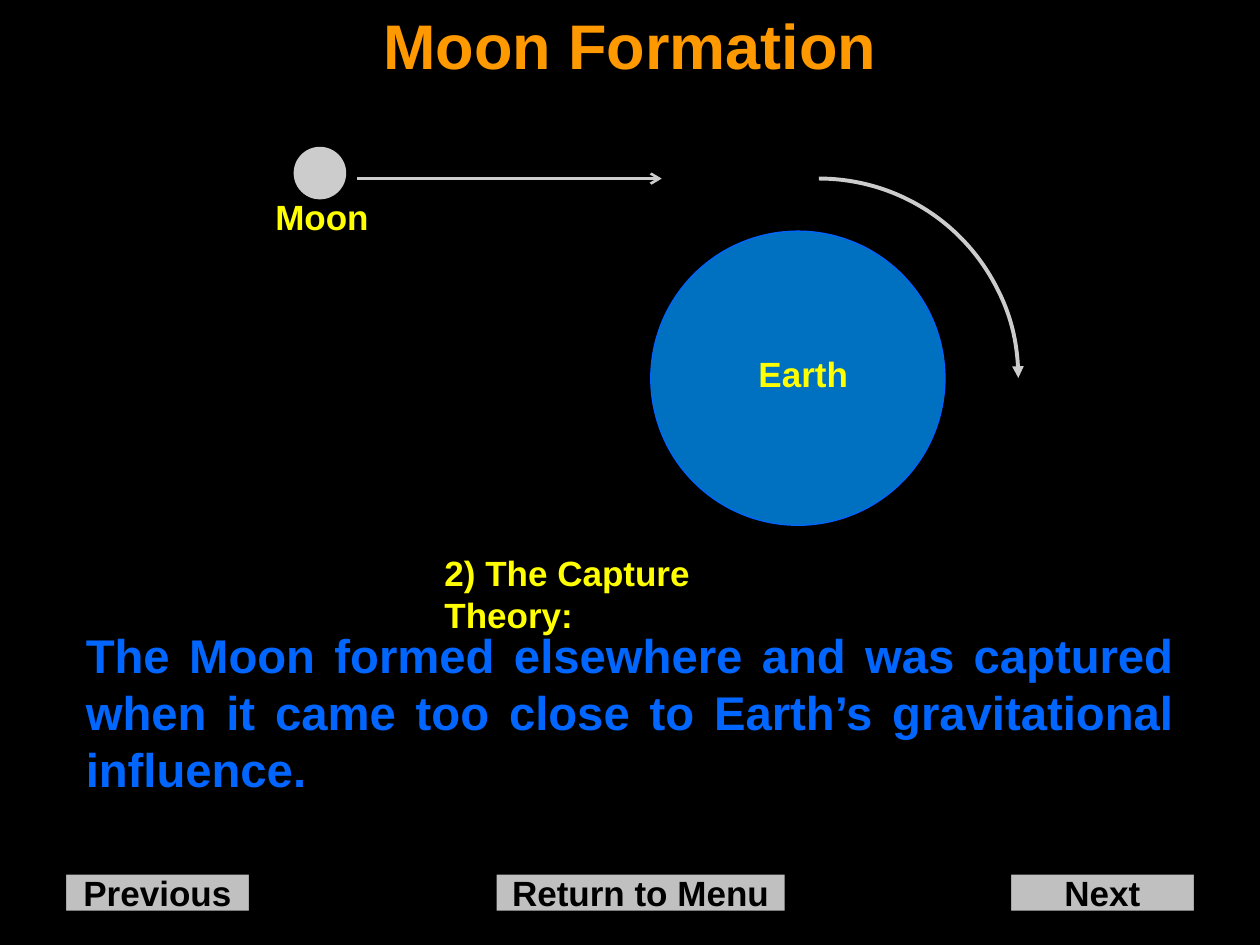
import dataclasses

import lxml.etree
import pptx
import pptx.dml.color
import pptx.enum.shapes
import pptx.enum.text
import pptx.oxml.ns
import pptx.util

Cm = pptx.util.Cm
Pt = pptx.util.Pt
Align = pptx.enum.text.PP_ALIGN
Anchor = pptx.enum.text.MSO_ANCHOR
AutoSize = pptx.enum.text.MSO_AUTO_SIZE
Shape = pptx.enum.shapes.MSO_SHAPE
qn = pptx.oxml.ns.qn


@dataclasses.dataclass(frozen=True)
class Theme:
    font: str = "Arial"
    background: str = "000000"
    title: str = "FF9900"
    body: str = "0066FF"
    label: str = "FFFF00"
    button: str = "C0C0C0"
    button_text: str = "000000"
    moon: str = "CCCCCC"
    earth: str = "0070C0"
    title_size: float = 36
    body_size: float = 27
    label_size: float = 20


def rgb(value):
    return pptx.dml.color.RGBColor.from_string(value)


def write(tf, text, font, size, color, align=Align.LEFT, wrap=True, anchor=Anchor.TOP):
    tf.word_wrap = wrap
    tf.vertical_anchor = anchor
    p = tf.paragraphs[0]
    p.alignment = align
    r = p.add_run()
    r.text = text
    r.font.name = font
    r.font.size = Pt(size)
    r.font.bold = True
    r.font.color.rgb = rgb(color)


class SlideBuilder:
    def __init__(self, slide, theme):
        self.s = slide
        self.theme = theme
        fill = slide.background.fill
        fill.solid()
        fill.fore_color.rgb = rgb(theme.background)

    def paint(self, sp, fill, line=None, width=0.75):
        sp.shadow.inherit = False
        sp.fill.solid()
        sp.fill.fore_color.rgb = rgb(fill)
        if line:
            sp.line.color.rgb = rgb(line)
            sp.line.width = Pt(width)
        else:
            sp.line.fill.background()

    def arrowhead(self, sp, kind):
        ln = sp.line._get_or_add_ln()
        lxml.etree.SubElement(ln, qn("a:tailEnd"), type=kind)

    def text(self, text, x, y, w, h, **fmt):
        sp = self.s.shapes.add_textbox(Cm(x), Cm(y), Cm(w), Cm(h))
        write(sp.text_frame, text, self.theme.font, **fmt)
        sp.text_frame.auto_size = AutoSize.SHAPE_TO_FIT_TEXT

    def label(self, text, x, y, w):
        self.text(text, x, y, w, 1.11, size=self.theme.label_size,
                  color=self.theme.label, wrap=False)

    def circle(self, x, y, d, fill, line=None):
        sp = self.s.shapes.add_shape(Shape.OVAL, Cm(x), Cm(y), Cm(d), Cm(d))
        self.paint(sp, fill, line)

    def arrow(self, x1, y1, x2, y2, color):
        sp = self.s.shapes.add_connector(
            pptx.enum.shapes.MSO_CONNECTOR.STRAIGHT, Cm(x1), Cm(y1), Cm(x2), Cm(y2))
        sp.line.color.rgb = rgb(color)
        sp.line.width = Pt(1.5)
        self.arrowhead(sp, "arrow")
        lxml.etree.SubElement(sp._element.spPr, qn("a:effectLst"))

    def orbit(self, x, y, d, color):
        sp = self.s.shapes.add_shape(Shape.ARC, Cm(x), Cm(y), Cm(d), Cm(d))
        self.paint(sp, self.theme.background, color, 2.25)
        self.arrowhead(sp, "triangle")

    def button(self, text, x, y, w, h, bevel=0.05):
        def corners(inset):
            left, top, right, bottom = x + inset, y + inset, x + w - inset, y + h - inset
            points = [(left, top), (right, top), (right, bottom), (left, bottom)]
            return [(Cm(px), Cm(py)) for px, py in points]

        outer, inner = corners(0), corners(bevel)
        builder = self.s.shapes.build_freeform(*outer[0])
        builder.add_line_segments(outer[1:])
        for i in range(4):
            j = (i + 1) % 4
            builder.move_to(*outer[i])
            builder.add_line_segments([outer[j], inner[j], inner[i]])
        sp = builder.convert_to_shape()
        self.paint(sp, self.theme.button, self.theme.background)
        write(sp.text_frame, text, self.theme.font, self.theme.label_size,
              self.theme.button_text, Align.CENTER, wrap=False, anchor=Anchor.MIDDLE)


def main():
    theme = Theme()
    prs = pptx.Presentation()
    prs.slide_width, prs.slide_height = Cm(25.4), Cm(19.05)
    s = SlideBuilder(prs.slides.add_slide(prs.slide_layouts[6]), theme)

    for text, x, w in [("Previous", 1.27, 3.81), ("Next", 20.32, 3.81),
                       ("Return to Menu", 9.95, 5.93)]:
        s.button(text, x, 17.57, w, 0.85)

    s.text("Moon Formation", 0, 0, 25.4, 1.78, size=theme.title_size,
           color=theme.title, align=Align.CENTER)
    s.text("The Moon formed elsewhere and was captured when it came too close to "
           "Earth’s gravitational influence.", 1.48, 12.5, 22.43, 3.68,
           size=theme.body_size, color=theme.body, align=Align.JUSTIFY)

    s.label("Moon", 5.3, 3.81, 2.39)
    s.circle(5.92, 2.96, 1.06, theme.moon)
    s.arrow(7.2, 3.6, 13.34, 3.6, theme.moon)
    s.orbit(12.49, 3.6, 8.04, theme.moon)
    s.circle(13.12, 4.66, 5.93, theme.earth, theme.body)
    s.label("Earth", 15.04, 6.99, 2.31)
    s.label("2) The Capture Theory:", 8.71, 11, 8.23)

    prs.save("out.pptx")


if __name__ == "__main__":
    main()
